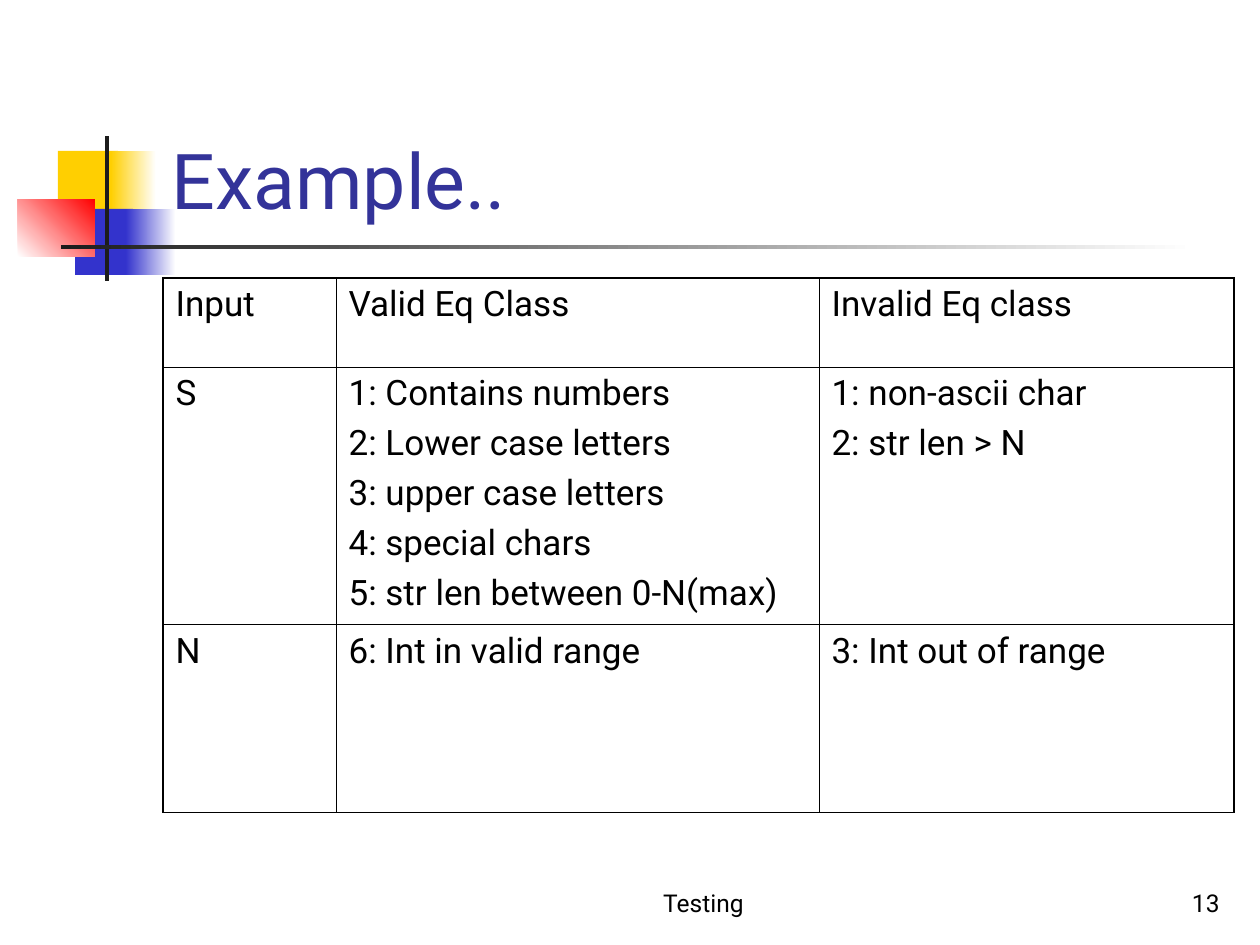
import pptx
import pptx.util
import pptx.dml.color
import pptx.enum.shapes
import pptx.enum.text
import pptx.oxml

SCALE = 914400 / 126
FONT = "Roboto"
BLACK = "000000"
ALIGN = pptx.enum.text.PP_ALIGN
ANCHOR = pptx.enum.text.MSO_ANCHOR


def px(length):
    """Turn a length in px into EMU."""
    return pptx.util.Emu(round(length * SCALE))


def color(value):
    """Turn a hex string into a colour."""
    return pptx.dml.color.RGBColor.from_string(value)


def write_text(frame, text, size=20, fill=BLACK, align=ALIGN.LEFT, before=0):
    """Write each line of the text as one formatted paragraph."""
    frame.word_wrap = True
    for index, line in enumerate(text.split("\n")):
        paragraph = frame.add_paragraph() if index else frame.paragraphs[0]
        paragraph.alignment = align
        paragraph.space_before = pptx.util.Pt(before)
        run = paragraph.add_run()
        run.text = line
        run.font.name = FONT
        run.font.size = pptx.util.Pt(size)
        run.font.color.rgb = color(fill)


def add_block(slide, box, start, end=None, angle=0):
    """Add a borderless rectangle with a solid or gradient fill."""
    shape = slide.shapes.add_shape(
        pptx.enum.shapes.MSO_SHAPE.RECTANGLE, *map(px, box))
    shape.shadow.inherit = False
    shape.line.fill.background()
    if end is None:
        shape.fill.solid()
        shape.fill.fore_color.rgb = color(start)
        return
    shape.fill.gradient()
    shape.fill.gradient_angle = angle
    for stop, value in zip(shape.fill.gradient_stops, (start, end)):
        stop.color.rgb = color(value)


def add_ornament(slide, left, top):
    """Add the coloured squares and the crossing bars."""
    blocks = [
        ((40, 15, 60, 66), "FFCF01", None, 0),
        ((93, 15, 45, 66), "FFCF01", "FFFFFF", 0),
        ((57, 73, 58, 66), "3333CC", None, 0),
        ((108, 73, 50, 66), "3333CC", "FFFFFF", 0),
        ((0, 63, 77, 58), "FFFFFF", "FF0000", 45),
        ((87, 0, 4, 145), "1C1C1C", None, 0),
        ((43, 109, 1134, 4), "1C1C1C", "FFFFFF", 0),
    ]
    for (x, y, width, height), start, end, angle in blocks:
        add_block(slide, (left + x, top + y, width, height), start, end, angle)


def add_title(slide, box, text):
    """Place and fill the title placeholder."""
    title = slide.shapes.title
    title.left, title.top, title.width, title.height = map(px, box)
    title.text_frame.auto_size = pptx.enum.text.MSO_AUTO_SIZE.NONE
    title.text_frame.vertical_anchor = ANCHOR.BOTTOM
    write_text(title.text_frame, text, size=44, fill="333399")


def add_footer(slide, box, text, align):
    """Add one bottom-anchored footer text."""
    shape = slide.shapes.add_textbox(*map(px, box))
    shape.text_frame.vertical_anchor = ANCHOR.BOTTOM
    write_text(shape.text_frame, text, size=14, align=align)


def set_borders(cell, widths):
    """Set the left, right, top and bottom lines of a cell, in points."""
    properties = cell._tc.get_or_add_tcPr()
    for index, (side, width) in enumerate(zip("LRTB", widths)):
        line = pptx.oxml.parse_xml(
            '<a:ln%s xmlns:a="http://schemas.openxmlformats.org/drawingml/2006/main"'
            ' w="%d"><a:solidFill><a:srgbClr val="%s"/></a:solidFill></a:ln%s>'
            % (side, pptx.util.Pt(width), BLACK, side))
        properties.insert(index, line)


def add_class_table(slide, left, top, columns, heights, rows):
    """Add the table with thick outer and thin inner lines."""
    frame = slide.shapes.add_table(
        len(heights), len(columns), px(left), px(top),
        px(sum(columns)), px(sum(heights)))
    table = frame.table
    table.first_row = table.horz_banding = False
    for column, width in zip(table.columns, columns):
        column.width = px(width)
    last_row, last_column = len(heights) - 1, len(columns) - 1
    for y, texts in enumerate(rows):
        table.rows[y].height = px(heights[y])
        for x, text in enumerate(texts):
            cell = table.cell(y, x)
            cell.fill.background()
            write_text(cell.text_frame, text, before=5)
            outer = (x == 0, x == last_column, y == 0, y == last_row)
            set_borders(cell, [1.08 if edge else 0.45 for edge in outer])


def main():
    """Build the slide and save it."""
    presentation = pptx.Presentation()
    presentation.slide_width, presentation.slide_height = px(1260), px(945)
    slide = presentation.slides.add_slide(presentation.slide_layouts[5])
    add_ornament(slide, 18, 136)
    add_footer(slide, (504, 861, 399, 63), "Testing", ALIGN.CENTER)
    add_footer(slide, (970, 861, 262, 63), "13", ALIGN.RIGHT)
    add_title(slide, (159, 29, 1074, 202), "Example..")
    add_class_table(slide, 163, 278, (173, 483, 415), (89, 257, 188), [
        ("Input", "Valid Eq Class", "Invalid Eq class"),
        ("S",
         "1: Contains numbers\n2: Lower case letters\n3: upper case letters\n"
         "4: special chars\n5: str len between 0-N(max)",
         "1: non-ascii char\n2: str len > N"),
        ("N", "6: Int in valid range", "3: Int out of range"),
    ])
    presentation.save("out.pptx")


if __name__ == "__main__":
    main()
